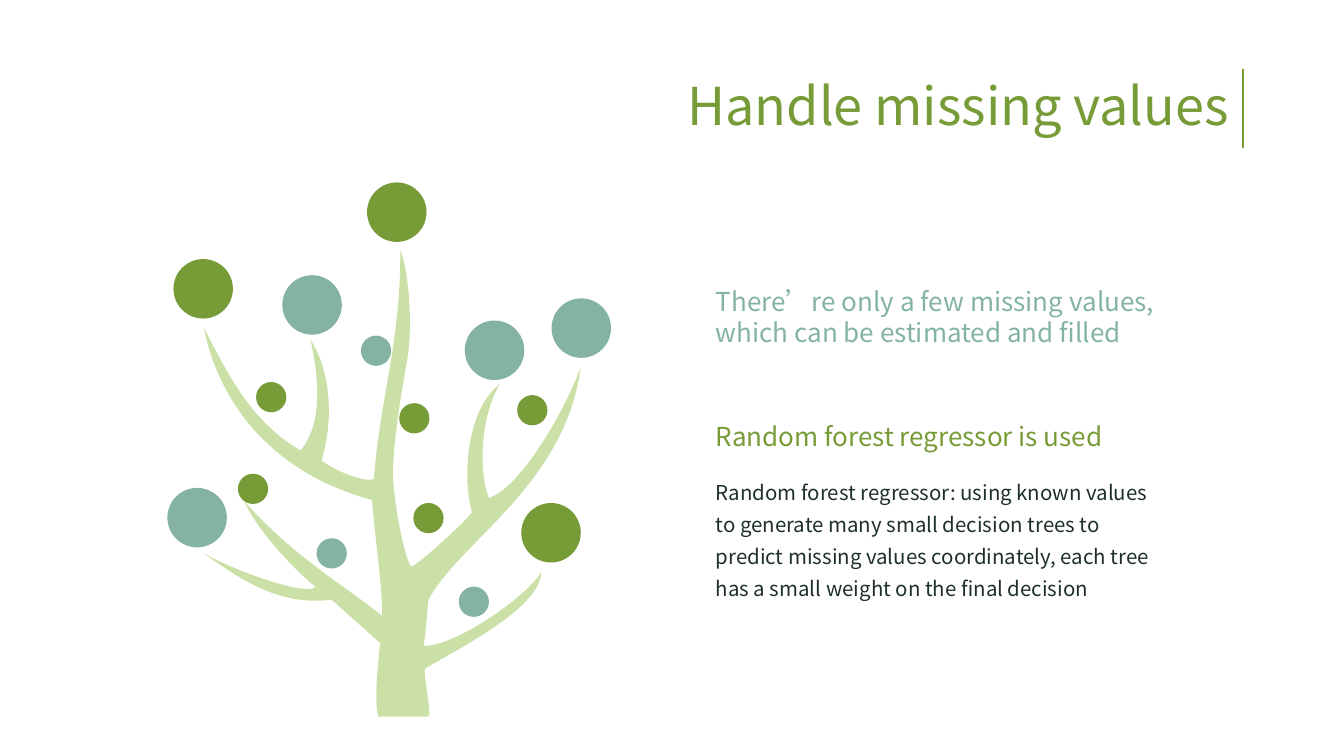
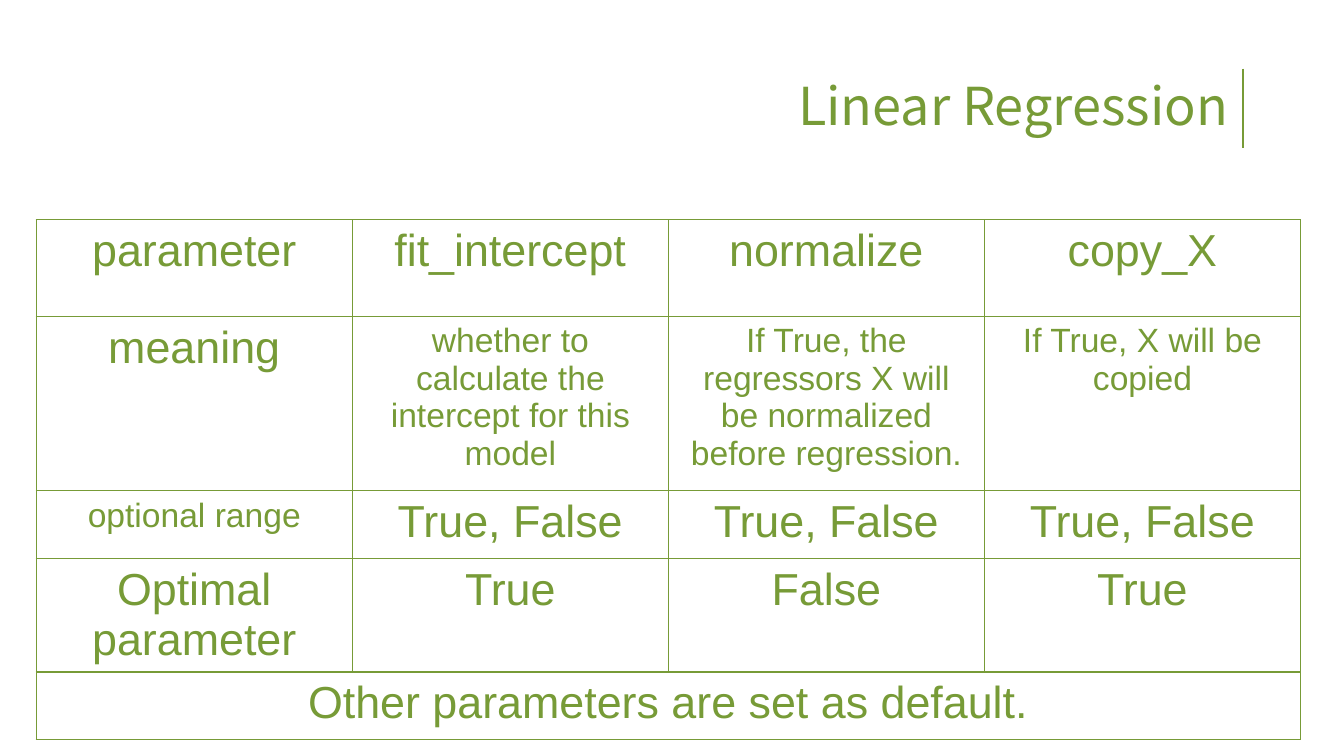
from lxml import etree
from pptx import Presentation
from pptx.dml.color import RGBColor
from pptx.enum.shapes import MSO_CONNECTOR as Connector, MSO_SHAPE as Shape
from pptx.enum.text import MSO_ANCHOR as Anchor, MSO_AUTO_SIZE as AutoSize, PP_ALIGN as Align
from pptx.oxml.ns import qn
from pptx.util import Inches, Pt

COLORS = {"green": "779B37", "teal": "84B3A3", "bark": "CBE0A6", "ink": "1E302A"}
HEAD_FONT, TABLE_FONT = "Noto Sans CJK SC", "Arial"

# Tree outline in hundredths of an inch: two numbers end a line, six make a curve
TREE_START = (375, 711)
TREE_OUTLINE = [
    (371, 689, 375, 662, 377, 638), (329, 595),
    (275, 602, 235, 572, 202, 549), (240, 570, 308, 592, 313, 582),
    (299, 572, 257, 530, 242, 497), (290, 552, 349, 586, 379, 611),
    (380, 589, 372, 534, 369, 496), (276, 471, 219, 407, 202, 325),
    (227, 373, 249, 418, 298, 447), (321, 420, 316, 373, 308, 337),
    (327, 367, 332, 412, 319, 457), (330, 466, 363, 480, 371, 475),
    (376, 400, 398, 338, 397, 248), (405, 268, 409, 315, 405, 350),
    (402, 370, 392, 419, 390, 461), (388, 491, 402, 558, 408, 562),
    (412, 563, 467, 513, 468, 508), (457, 465, 466, 403, 496, 381),
    (474, 417, 476, 475, 485, 494), (517, 484, 562, 404, 576, 364),
    (561, 481, 455, 538, 425, 595), (423, 611, 423, 626, 420, 641),
    (454, 641, 527, 588, 537, 567), (537, 602, 458, 642, 422, 663),
    (419, 664, 426, 695, 426, 709), (425, 709, 425, 711, 424, 711),
    TREE_START,
]

# Leaf corners by diameter and colour
LEAVES = {
    (0.59, "green"): [(3.64, 1.81), (1.72, 2.57), (5.17, 4.99)],
    (0.59, "teal"): [(5.47, 2.96), (1.66, 4.84), (4.61, 3.18), (2.8, 2.73)],
    (0.3, "green"): [(3.96, 4), (5.13, 3.92), (2.54, 3.79), (2.36, 4.7), (4.1, 4.99)],
    (0.3, "teal"): [(3.58, 3.33), (3.14, 5.34), (4.55, 5.82)],
}

BIG, SMALL = 32, 24
PARAMETER_ROWS = [
    (0.96, [("parameter", BIG), ("fit_intercept", BIG), ("normalize", BIG), ("copy_X", BIG)]),
    (1.73, [("meaning", BIG),
            ("whether to calculate the intercept for this model", SMALL),
            ("If True, the regressors X will be normalized before regression.", SMALL),
            ("If True, X will be copied", SMALL)]),
    (0.67, [("optional range", SMALL)] + [("True, False", BIG)] * 3),
    (0.71, [("Optimal parameter", BIG), ("True", BIG), ("False", BIG), ("True", BIG)]),
    (0.67, [("Other parameters are set as default.", BIG)]),
]


def rgb(name):
    return RGBColor.from_string(COLORS[name])


class Deck:
    def __init__(self):
        self.deck = Presentation()
        self.deck.slide_width, self.deck.slide_height = Inches(13.33), Inches(7.5)
        self.page = None

    def new_page(self, title, left, width):
        self.page = self.deck.slides.add_slide(self.deck.slide_layouts[6])
        # Right-aligned title with a rule beside it
        box = self.text(title, left, 0.74, width, 0.67, 37.3, spacing=0.9)
        box.text_frame.vertical_anchor = Anchor.MIDDLE
        para = box.text_frame.paragraphs[0]
        para.alignment, para.space_before = Align.RIGHT, Pt(7.5)
        self.line(12.33, 0.68, 12.33, 1.47)

    def span(self, para, text, size, color="green", font=HEAD_FONT):
        span = para.add_run()
        span.text = text
        span.font.name, span.font.size = font, Pt(size)
        span.font.color.rgb = rgb(color)

    def text(self, text, left, top, width, height, size, color="green",
             spacing=None, wrap=True, grow=False):
        box = self.page.shapes.add_textbox(Inches(left), Inches(top), Inches(width), Inches(height))
        frame = box.text_frame
        frame.word_wrap = wrap
        frame.auto_size = AutoSize.SHAPE_TO_FIT_TEXT if grow else AutoSize.NONE
        para = frame.paragraphs[0]
        if spacing:
            para.line_spacing = spacing
        self.span(para, text, size, color)
        return box

    def line(self, x1, y1, x2, y2):
        line = self.page.shapes.add_connector(
            Connector.STRAIGHT, Inches(x1), Inches(y1), Inches(x2), Inches(y2))
        line.line.color.rgb, line.line.width = rgb("green"), Pt(1.5)
        etree.SubElement(line.element.spPr, qn("a:effectLst"))

    def paint(self, shape, color):
        shape.shadow.inherit = False
        shape.fill.solid()
        shape.fill.fore_color.rgb = rgb(color)
        shape.line.fill.background()

    def outline(self, shapes, start, segments, color):
        """Draw a closed outline of lines and cubic curves."""
        ends = [segment[-2:] for segment in segments]
        builder = shapes.build_freeform(*start, scale=Inches(0.01))
        builder.add_line_segments(ends, close=True)
        shape = builder.convert_to_shape()
        left, top = (min(values) for values in zip(start, *ends))
        # Turn the straight steps that have control points into curves
        steps = list(shape.element.iter(qn("a:lnTo")))
        for step, segment in zip(steps, segments):
            if len(segment) == 6:
                step.tag = qn("a:cubicBezTo")
                for index in (0, 2):
                    control = etree.Element(
                        qn("a:pt"), x=str(segment[index] - left), y=str(segment[index + 1] - top))
                    step.insert(index // 2, control)
        self.paint(shape, color)

    def tree(self):
        group = self.page.shapes.add_group_shape().shapes
        self.outline(group, TREE_START, TREE_OUTLINE, "bark")
        for (size, color), corners in LEAVES.items():
            for left, top in corners:
                leaf = group.add_shape(
                    Shape.OVAL, Inches(left), Inches(top), Inches(size), Inches(size))
                self.paint(leaf, color)

    def cell_style(self, cell):
        cell.margin_left = cell.margin_right = Inches(0.13)
        cell.margin_top, cell.margin_bottom = Inches(0.06), Inches(0.07)
        props = cell._tc.get_or_add_tcPr()
        for side in ("lnL", "lnR", "lnT", "lnB"):
            border = etree.SubElement(props, qn(f"a:{side}"), w=str(Pt(1)))
            fill = etree.SubElement(border, qn("a:solidFill"))
            etree.SubElement(fill, qn("a:srgbClr"), val=COLORS["green"])
        cell.fill.background()

    def table(self, rows, left, top, width, columns):
        height = sum(row_height for row_height, _ in rows)
        table = self.page.shapes.add_table(
            len(rows), columns, Inches(left), Inches(top), Inches(width), Inches(height)).table
        table.first_row = table.horz_banding = False
        for row, (row_height, entries) in enumerate(rows):
            table.rows[row].height = Inches(row_height)
            for cell in table.rows[row].cells:
                self.cell_style(cell)
            # A single entry spans the whole row
            if len(entries) == 1:
                table.cell(row, 0).merge(table.cell(row, columns - 1))
            for column, (text, size) in enumerate(entries):
                para = table.cell(row, column).text_frame.paragraphs[0]
                para.alignment = Align.CENTER
                self.span(para, text, size, font=TABLE_FONT)


def main():
    deck = Deck()

    # Missing values: tree on the left, notes on the right
    deck.new_page("Handle missing values", 6.25, 6.04)
    deck.tree()
    deck.text("There’re only a few missing values, which can be estimated and filled",
              7, 2.78, 5.02, 0.73, 18.6, "teal", grow=True)
    deck.text("Random forest regressor: using known values to generate many small decision "
              "trees to predict missing values coordinately, each tree has a small weight "
              "on the final decision",
              7, 4.64, 4.68, 1.38, 14.6, "ink", spacing=1.3, grow=True)
    deck.text("Random forest regressor is used", 7, 4.12, 4.25, 0.42, 18.6, wrap=False, grow=True)

    # Linear regression: parameter table
    deck.new_page("Linear Regression", 7.18, 5.1)
    deck.table(PARAMETER_ROWS, 0.36, 2.18, 12.54, 4)

    deck.deck.save("out.pptx")


if __name__ == "__main__":
    main()
